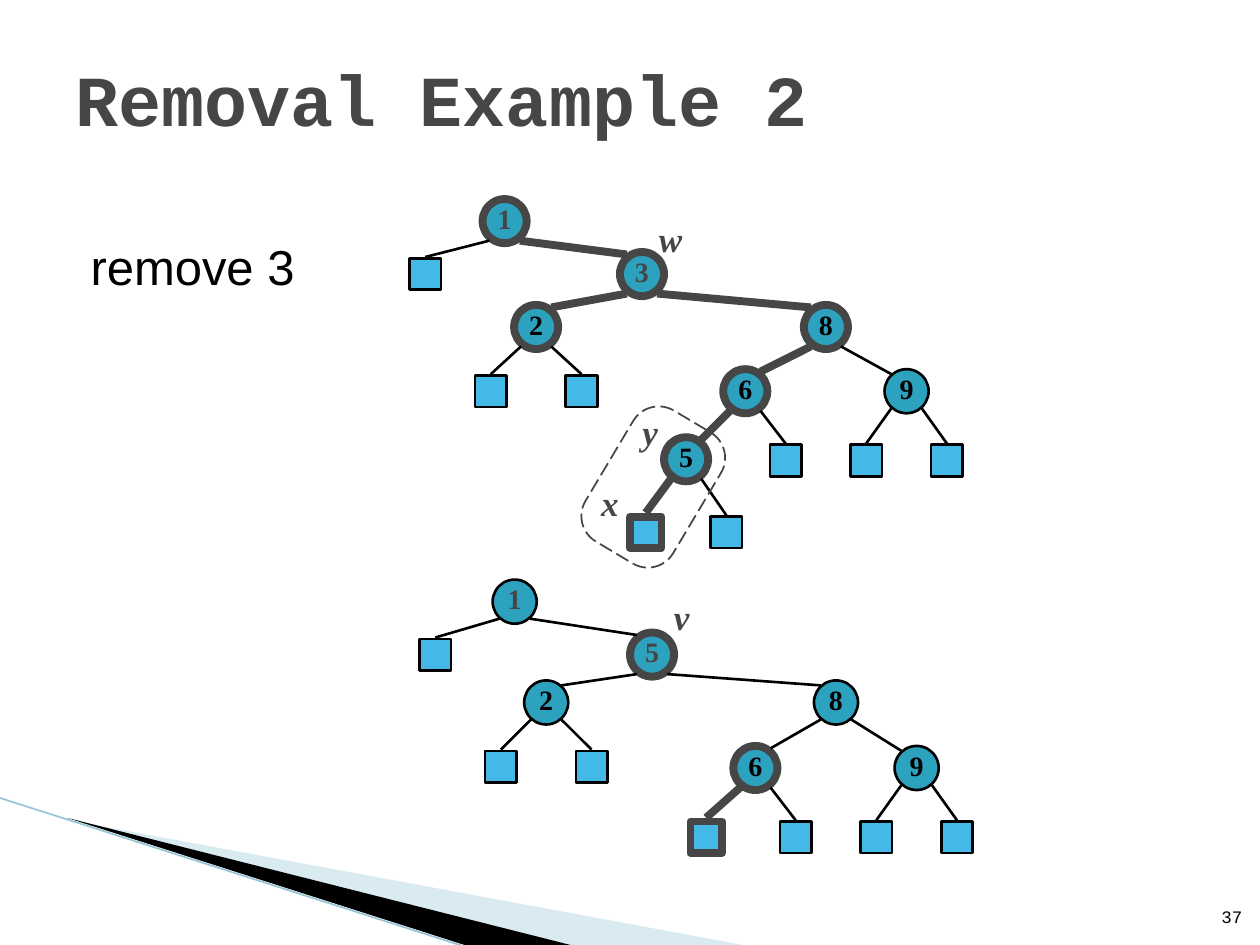
import dataclasses

import lxml.etree
import pptx
import pptx.dml.color
import pptx.enum.dml
import pptx.enum.shapes
import pptx.enum.text
import pptx.oxml.ns
import pptx.util

Inches = pptx.util.Inches
Shapes = pptx.enum.shapes.MSO_SHAPE
Align = pptx.enum.text.PP_ALIGN
Anchor = pptx.enum.text.MSO_ANCHOR


@dataclasses.dataclass(frozen=True)
class Theme:
    accent: str = "464646"
    black: str = "000000"
    node_fill: str = "2DA2BF"
    leaf_fill: str = "44B9E8"
    wedge_fill: str = "A0CBDC"
    wedge_line: str = "97C5D8"
    heading_font: str = "Courier New"
    body_font: str = "Arial"
    tree_font: str = "Times New Roman"
    title_size: float = 41
    body_size: float = 28
    label_size: float = 20
    node_size: float = 16
    number_size: float = 10
    thin: float = 1.5
    thick: float = 4.5


THEME = Theme()
NODE, LEAF = 0.35, 0.25

# Left edge of each node column, and its leaves: side steps and drop from centre
COLUMNS = {"root": 0.58, "pivot": 1.67, "two": 0.83, "eight": 3.13,
           "six": 2.49, "nine": 3.77, "five": 2.02}
LEAF_DROP = {"root": 0.42, "two": 0.51, "six": 0.55, "nine": 0.55, "five": 0.58}

# Node: column -> (key, top, on path, accent text, parent)
BEFORE = {
    "root": ("1", 0, True, True, None),
    "pivot": ("3", 0.42, True, True, "root"),
    "two": ("2", 0.84, True, False, "pivot"),
    "eight": ("8", 0.84, True, False, "pivot"),
    "six": ("6", 1.35, True, False, "eight"),
    "nine": ("9", 1.35, False, False, "eight"),
    "five": ("5", 1.89, True, False, "six"),
}
AFTER = {
    "root": ("1", 0, False, True, None),
    "pivot": ("5", 0.42, True, True, "root"),
    "two": ("2", 0.8, False, False, "pivot"),
    "eight": ("8", 0.8, False, False, "pivot"),
    "six": ("6", 1.32, True, False, "eight"),
    "nine": ("9", 1.32, False, False, "eight"),
}

# Leaf: (parent, side step, on path)
SHARED_LEAVES = [("root", -0.63, False), ("two", -0.36, False), ("two", 0.36, False),
                 ("six", 0.32, False), ("nine", -0.32, False), ("nine", 0.32, False)]
BEFORE_LEAVES = SHARED_LEAVES + [("five", -0.32, True), ("five", 0.32, False)]
AFTER_LEAVES = SHARED_LEAVES + [("six", -0.39, True)]

# Label: (letter, left, top)
BEFORE_LABELS = [("w", 1.88, 0.1), ("y", 1.72, 1.63), ("x", 1.4, 2.19)]
AFTER_LABELS = [("v", 1.89, 0.08)]


def color(value):
    return pptx.dml.color.RGBColor.from_string(value)


def add_run(paragraph, text, font, size, value, bold=False, italic=False):
    run = paragraph.add_run()
    run.text = text
    run.font.name, run.font.size = font, pptx.util.Pt(size)
    run.font.bold, run.font.italic = bold, italic
    run.font.color.rgb = color(value)


def style_shape(shape, fill, line=None, width=THEME.thin):
    shape.shadow.inherit = False
    if fill:
        shape.fill.solid()
        shape.fill.fore_color.rgb = color(fill)
    else:
        shape.fill.background()
    if line:
        shape.line.color.rgb = color(line)
        shape.line.width = pptx.util.Pt(width)
    else:
        shape.line.fill.background()


def add_line(shapes, start, end, value, width):
    line = shapes.add_connector(pptx.enum.shapes.MSO_CONNECTOR.STRAIGHT,
                                *map(Inches, (*start, *end)))
    line.line.color.rgb = color(value)
    line.line.width = pptx.util.Pt(width)
    lxml.etree.SubElement(line._element.spPr, pptx.oxml.ns.qn("a:effectLst"))


def path_line(on_path):
    return (THEME.accent, THEME.thick) if on_path else (THEME.black, THEME.thin)


def add_centred(shapes, kind, centre, size, fill, on_path):
    shape = shapes.add_shape(kind, Inches(centre[0] - size / 2), Inches(centre[1] - size / 2),
                             Inches(size), Inches(size))
    style_shape(shape, fill, *path_line(on_path))
    return shape


def add_node(shapes, key, centre, on_path, accent):
    frame = add_centred(shapes, Shapes.OVAL, centre, NODE, THEME.node_fill, on_path).text_frame
    frame.margin_left = frame.margin_right = frame.margin_top = 0
    frame.margin_bottom = Inches(0.05)
    frame.word_wrap = False
    frame.vertical_anchor = Anchor.MIDDLE
    frame.paragraphs[0].alignment = Align.CENTER
    add_run(frame.paragraphs[0], key, THEME.tree_font, THEME.node_size,
            THEME.accent if accent else THEME.black, bold=True)


def add_label(shapes, letter, left, top):
    box = shapes.add_textbox(Inches(left), Inches(top), Inches(0.38), Inches(0.44))
    box.text_frame.word_wrap = False
    paragraph = box.text_frame.paragraphs[0]
    paragraph.alignment = Align.CENTER
    add_run(paragraph, letter, THEME.tree_font, THEME.label_size, THEME.accent, True, True)


def add_tree(slide, left, top, nodes, leaves, labels):
    shapes = slide.shapes.add_group_shape().shapes
    centres = {name: (left + COLUMNS[name] + NODE / 2, top + node[1] + NODE / 2)
               for name, node in nodes.items()}

    def rim(name, side, vertical):
        x, y = centres[name]
        return x + side * 0.12, y + vertical * (0.155 if nodes[name][2] else 0.135)

    # Inner nodes and the edges to their parents
    for name, (key, _, on_path, accent, parent) in nodes.items():
        add_node(shapes, key, centres[name], on_path, accent)
        if parent:
            side = 1 if centres[name][0] > centres[parent][0] else -1
            add_line(shapes, rim(parent, side, 1), rim(name, -side, -1),
                     *path_line(on_path and nodes[parent][2]))
    # Leaves and their edges
    for parent, step, on_path in leaves:
        x, y = centres[parent][0] + step, centres[parent][1] + LEAF_DROP[parent]
        add_centred(shapes, Shapes.RECTANGLE, (x, y), LEAF, THEME.leaf_fill, on_path)
        gap = 0.03 if on_path else 0.01
        add_line(shapes, rim(parent, 1 if step > 0 else -1, 1), (x, y - LEAF / 2 - gap),
                 *path_line(on_path))
    for letter, x, y in labels:
        add_label(shapes, letter, left + x, top + y)


def add_removal_outline(slide, left, top, width, height):
    shape = slide.shapes.add_shape(Shapes.ROUNDED_RECTANGLE,
                                   *map(Inches, (left, top, width, height)))
    style_shape(shape, None, THEME.accent, 1)
    shape.adjustments[0] = 0.29
    shape.rotation = 300.8
    shape.line.dash_style = pptx.enum.dml.MSO_LINE.LONG_DASH


def add_corner(slide, left, top):
    wedges = [([(0.02, 0.02), (5.42, 1.02), (4.03, 1.02)], THEME.wedge_fill, 40),
              ([(0, 0), (4.04, 1.02), (3.19, 1.02)], THEME.black, 100)]
    for points, fill, opacity in wedges:
        points = [(Inches(left + x), Inches(top + y)) for x, y in points]
        builder = slide.shapes.build_freeform(*points[0])
        builder.add_line_segments(points[1:])
        shape = builder.convert_to_shape()
        style_shape(shape, fill)
        if opacity < 100:
            fill_color = shape._element.spPr.find(".//" + pptx.oxml.ns.qn("a:srgbClr"))
            lxml.etree.SubElement(fill_color, pptx.oxml.ns.qn("a:alpha"), val=str(opacity * 1000))
    add_line(slide.shapes, (left - 0.54, top - 0.16), (left + 3.18, top + 1.03),
             THEME.wedge_line, 0.95)


def add_title(slide, left, top, width, height):
    title = slide.shapes.title
    title.left, title.top, title.width, title.height = map(Inches, (left, top, width, height))
    title.text_frame.auto_size = pptx.enum.text.MSO_AUTO_SIZE.NONE
    title.text_frame.vertical_anchor = Anchor.MIDDLE
    paragraph = title.text_frame.paragraphs[0]
    paragraph.alignment = Align.LEFT
    add_run(paragraph, "Removal Example 2", THEME.heading_font, THEME.title_size,
            THEME.accent, bold=True)


def add_text(slide, left, top, width, height, text, font, size):
    box = slide.shapes.add_textbox(*map(Inches, (left, top, width, height)))
    box.text_frame.word_wrap = True
    add_run(box.text_frame.paragraphs[0], text, font, size, THEME.black)
    return box.text_frame


def main():
    presentation = pptx.Presentation()
    presentation.slide_width, presentation.slide_height = Inches(10), Inches(7.5)
    slide = presentation.slides.add_slide(presentation.slide_layouts[5])
    add_corner(slide, 0.53, 6.49)
    add_title(slide, 0.5, 0.25, 9, 1.05)
    # Instruction with a hanging indent
    body = add_text(slide, 0.5, 1.83, 4.38, 0.74, "remove 3", THEME.body_font, THEME.body_size)
    indent = body.paragraphs[0]._p.get_or_add_pPr()
    indent.set("marL", str(Inches(0.4)))
    indent.set("indent", str(Inches(-0.28)))
    # Trees before and after the removal
    add_tree(slide, 3.25, 1.58, BEFORE, BEFORE_LEAVES, BEFORE_LABELS)
    add_tree(slide, 3.33, 4.6, AFTER, AFTER_LEAVES, AFTER_LABELS)
    add_removal_outline(slide, 4.58, 3.46, 1.21, 0.81)
    # Slide number
    number = add_text(slide, 9.46, 7.01, 0.4, 0.4, "37", THEME.heading_font, THEME.number_size)
    number.vertical_anchor = Anchor.BOTTOM
    number.margin_left = number.margin_right = 0
    number.paragraphs[0].alignment = Align.RIGHT
    presentation.save("out.pptx")


if __name__ == "__main__":
    main()
